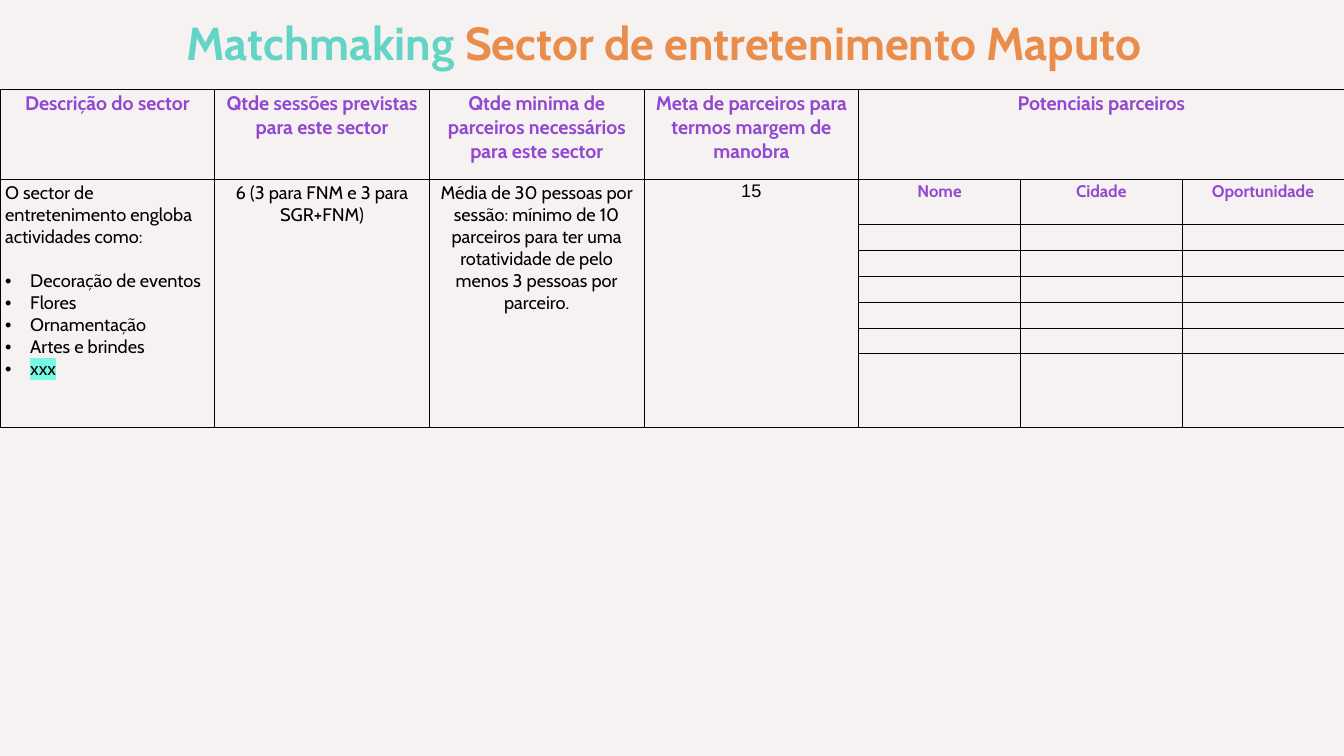
from dataclasses import dataclass

from lxml.etree import SubElement
from pptx import Presentation
from pptx.dml.color import RGBColor as RGB
from pptx.enum.text import MSO_ANCHOR as Anchor, MSO_AUTO_SIZE as AutoSize, PP_ALIGN as Align
from pptx.oxml import parse_xml
from pptx.oxml.ns import nsdecls, qn
from pptx.util import Cm, Pt


@dataclass(frozen=True)
class Theme:
    background: str = "F7F2F2"
    teal: str = "63D4C6"
    orange: str = "E98D4C"
    purple: str = "9248D1"
    black: str = "000000"
    marker: str = "79F7E5"
    font: str = "Cabin"
    number_font: str = "Arial"
    title: int = 66
    header: int = 28
    body: int = 26
    subheader: int = 24


THEME = Theme()

# Character formats
TITLE = {"name": THEME.font, "size": Pt(THEME.title), "bold": True}
HEADER = {"name": THEME.font, "size": Pt(THEME.header), "bold": True}
SUBHEADER = {**HEADER, "size": Pt(THEME.subheader)}
BODY = {"name": THEME.font, "size": Pt(THEME.body), "bold": False}
NUMBER = {**BODY, "name": THEME.number_font}

# Table content
HEADERS = [
    "Descrição do sector",
    "Qtde sessões previstas para este sector",
    "Qtde minima de parceiros necessários para este sector",
    "Meta de parceiros para termos margem de manobra",
    "Potenciais parceiros",
]
INTRO = "O sector de entretenimento engloba actividades como:"
ACTIVITIES = ["Decoração de eventos", "Flores", "Ornamentação", "Artes e brindes"]
PLACEHOLDER_ACTIVITY = "xxx"
SECTOR_FACTS = [
    ("6 (3 para FNM e 3 para SGR+FNM)", BODY),
    ("Média de 30 pessoas por sessão: mínimo de 10 parceiros para ter uma "
     "rotatividade de pelo menos 3 pessoas por parceiro.", BODY),
    ("15", NUMBER),
]
PARTNER_FIELDS = ["Nome", "Cidade", "Oportunidade"]

# Table grid, in centimetres
COLUMN_WIDTHS = [10.82] * 4 + [8.15] * 3
ROW_HEIGHTS = [4.52, 2.31] + [1.3] * 5 + [3.73]
PARTNER_COLUMN = 4


def set_format(target, values):
    for name, value in values.items():
        setattr(target, name, value)


def add_run(paragraph, text, font_format, color):
    run = paragraph.add_run()
    run.text = text
    set_format(run.font, font_format)
    run.font.color.rgb = RGB.from_string(color)
    return run


def highlight(run, color):
    fill = run.font._element.find(qn("a:solidFill"))
    fill.addnext(parse_xml(
        f'<a:highlight {nsdecls("a")}><a:srgbClr val="{color}"/></a:highlight>'))


def make_bullet(paragraph):
    properties = paragraph._p.get_or_add_pPr()
    indent = Cm(1.27)
    properties.set("marL", str(indent))
    properties.set("indent", str(-indent))
    SubElement(properties, qn("a:buFont")).set("typeface", "Arial")
    SubElement(properties, qn("a:buChar")).set("char", "•")


def write_centered(cell, text, font_format, color):
    paragraph = cell.text_frame.paragraphs[0]
    paragraph.alignment = Align.CENTER
    add_run(paragraph, text, font_format, color)


def style_cell(cell):
    cell.fill.background()
    properties = cell._tc.get_or_add_tcPr()
    for position, side in enumerate(("lnL", "lnR", "lnT", "lnB")):
        properties.insert(position, parse_xml(
            f'<a:{side} {nsdecls("a")} w="{Pt(1)}"><a:solidFill>'
            f'<a:srgbClr val="{THEME.black}"/></a:solidFill></a:{side}>'))


def add_title(slide):
    title = slide.shapes.title
    set_format(title, {"left": Cm(-0.97), "top": Cm(0.08),
                       "width": Cm(68.88), "height": Cm(4.11)})
    frame = title.text_frame
    inset = Cm(0.15)
    set_format(frame, {"word_wrap": True, "auto_size": AutoSize.NONE,
                       "vertical_anchor": Anchor.MIDDLE,
                       "margin_left": inset, "margin_right": inset,
                       "margin_top": inset, "margin_bottom": inset})
    paragraph = frame.paragraphs[0]
    paragraph.alignment = Align.CENTER
    add_run(paragraph, "Matchmaking ", TITLE, THEME.teal)
    add_run(paragraph, "Sector de entretenimento Maputo", TITLE, THEME.orange)


def add_grid(slide):
    table = slide.shapes.add_table(
        len(ROW_HEIGHTS), len(COLUMN_WIDTHS), Cm(0), Cm(4.5),
        Cm(sum(COLUMN_WIDTHS)), Cm(sum(ROW_HEIGHTS))).table
    set_format(table, {"first_row": False, "horz_banding": False})
    for column, width in zip(table.columns, COLUMN_WIDTHS):
        column.width = Cm(width)
    for row, height in zip(table.rows, ROW_HEIGHTS):
        row.height = Cm(height)
    for cell in table.iter_cells():
        style_cell(cell)

    # One heading over the partner columns, one tall cell per sector column
    table.cell(0, PARTNER_COLUMN).merge(table.cell(0, len(COLUMN_WIDTHS) - 1))
    for column in range(PARTNER_COLUMN):
        table.cell(1, column).merge(table.cell(len(ROW_HEIGHTS) - 1, column))
    return table


def write_description(cell):
    frame = cell.text_frame
    add_run(frame.paragraphs[0], INTRO, BODY, THEME.black)
    for index, activity in enumerate(ACTIVITIES + [PLACEHOLDER_ACTIVITY]):
        paragraph = frame.add_paragraph()
        if index == 0:
            paragraph.space_before = Pt(31.5)
        make_bullet(paragraph)
        run = add_run(paragraph, activity, BODY, THEME.black)
        if activity == PLACEHOLDER_ACTIVITY:
            highlight(run, THEME.marker)


def fill_table(table):
    for column, text in enumerate(HEADERS):
        write_centered(table.cell(0, column), text, HEADER, THEME.purple)
    write_description(table.cell(1, 0))
    for column, (text, font_format) in enumerate(SECTOR_FACTS, start=1):
        write_centered(table.cell(1, column), text, font_format, THEME.black)
    for column, text in enumerate(PARTNER_FIELDS, start=PARTNER_COLUMN):
        write_centered(table.cell(1, column), text, SUBHEADER, THEME.purple)


def main():
    presentation = Presentation()
    set_format(presentation, {"slide_width": Cm(67.74), "slide_height": Cm(38.1)})
    slide = presentation.slides.add_slide(presentation.slide_layouts[5])
    background = slide.background.fill
    background.solid()
    background.fore_color.rgb = RGB.from_string(THEME.background)

    add_title(slide)
    fill_table(add_grid(slide))
    presentation.save("out.pptx")


if __name__ == "__main__":
    main()
